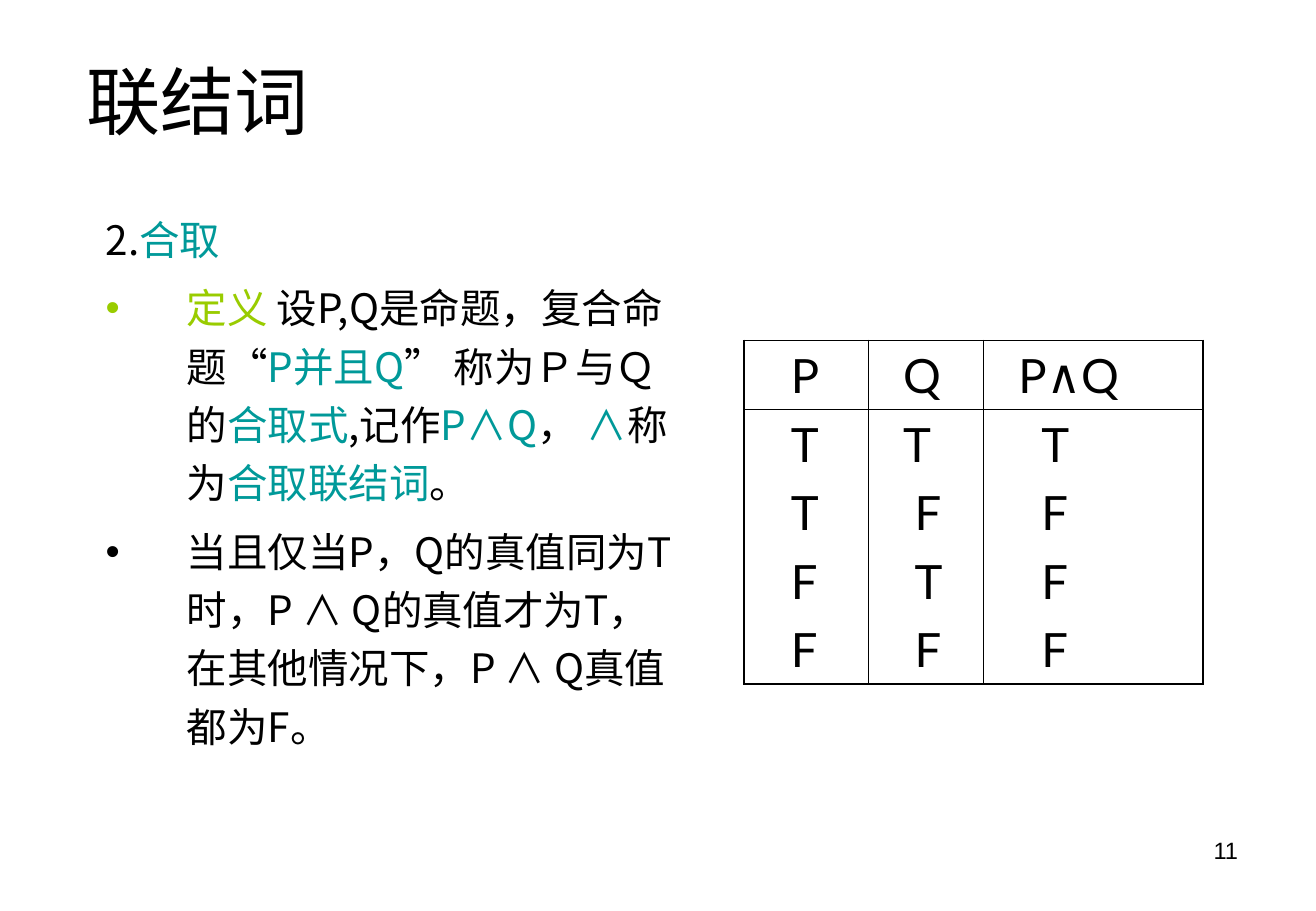
from dataclasses import dataclass

from lxml import etree
from pptx import Presentation
from pptx.dml.color import RGBColor
from pptx.enum.text import MSO_ANCHOR, PP_ALIGN
from pptx.oxml.ns import qn
from pptx.util import Cm, Pt

LEFT = PP_ALIGN.LEFT
RIGHT = PP_ALIGN.RIGHT
TOP = MSO_ANCHOR.TOP
MIDDLE = MSO_ANCHOR.MIDDLE


@dataclass(frozen=True)
class Theme:
    ink: str = "000000"
    term: str = "009999"
    keyword: str = "99CC00"
    latin: str = "Arial"
    chinese: str = "Noto Sans CJK SC"
    table_font: str = "Lato"
    title_size: int = 44
    body_size: int = 24
    table_size: int = 28
    number_size: int = 14
    outer_line: float = 1.08
    inner_line: float = 0.45


THEME = Theme()
INK, TERM, KEYWORD = THEME.ink, THEME.term, THEME.keyword

BODY = [
    (None, [("2.", INK), ("合取", TERM)]),
    (KEYWORD, [
        ("定义", KEYWORD), (" 设P,Q是命题，复合命题", INK), ("“", INK),
        ("P并且Q", TERM), ("” ", INK), ("称为Ｐ与Ｑ的", INK),
        ("合取式", TERM), (",记作", INK), ("P∧Q", TERM), ("， ", INK),
        ("∧", TERM), ("称为", INK), ("合取联结词", TERM), ("。", INK),
    ]),
    (INK, [("当且仅当P，Q的真值同为T时，P ∧ Q的真值才为T，"
            "在其他情况下，P ∧ Q真值都为F。", INK)]),
]

TRUTH_COLUMNS = [
    (2.59, ("P", 3), [("T", 3), ("T", 3), ("F", 3), ("F", 3)]),
    (2.41, ("Q", 2), [("T", 2), ("F", 3), ("T", 3), ("F", 3)]),
    (4.6, ("P∧Q", 2), [("T", 4), ("F", 4), ("F", 4), ("F", 4)]),
]
ROW_HEIGHTS = (1.44, 5.74)
INDENT_STEP = 0.24


def set_font(para, name, size, color=INK):
    font = para.font
    font.name = name
    font.size = Pt(size)
    font.color.rgb = RGBColor.from_string(color)
    properties = para._p.pPr.find(qn("a:defRPr"))
    latin = properties.find(qn("a:latin"))
    east_asian = etree.Element(qn("a:ea"), typeface=THEME.chinese)
    latin.addnext(east_asian)


def add_text_frame(page, box, anchor=TOP):
    frame = page.shapes.add_textbox(*(Cm(length) for length in box)).text_frame
    frame.word_wrap = True
    frame.vertical_anchor = anchor
    return frame


def next_para(frame, index, gap):
    if index == 0:
        return frame.paragraphs[0]
    para = frame.add_paragraph()
    para.space_before = Pt(gap)
    return para


def add_line(page, box, text, name, size, align=LEFT, anchor=TOP):
    para = add_text_frame(page, box, anchor).paragraphs[0]
    para.alignment = align
    set_font(para, name, size)
    para.add_run().text = text


def add_bullet(para, color):
    properties = para._p.get_or_add_pPr()
    hanging = Cm(1.7)
    properties.set("marL", str(hanging))
    properties.set("indent", str(-hanging))
    if color is None:
        etree.SubElement(properties, qn("a:buNone"))
        return
    bullet_color = etree.SubElement(properties, qn("a:buClr"))
    etree.SubElement(bullet_color, qn("a:srgbClr"), val=color)
    etree.SubElement(properties, qn("a:buFont"), typeface=THEME.latin)
    etree.SubElement(properties, qn("a:buChar"), char="•")


def add_body(page, box):
    frame = add_text_frame(page, box)
    for index, (bullet, spans) in enumerate(BODY):
        para = next_para(frame, index, 6)
        para.line_spacing = 1.2
        add_bullet(para, bullet)
        set_font(para, THEME.chinese, THEME.body_size)
        for text, color in spans:
            span = para.add_run()
            span.text = text
            span.font.color.rgb = RGBColor.from_string(color)
            if text.strip() in ("“", "”"):
                span.font.name = THEME.latin


def set_borders(cell, outer_sides):
    properties = cell._tc.get_or_add_tcPr()
    for index, side in enumerate(("lnL", "lnR", "lnT", "lnB")):
        width = THEME.outer_line if side in outer_sides else THEME.inner_line
        line = etree.Element(qn("a:" + side), w=str(Pt(width)))
        fill = etree.SubElement(line, qn("a:solidFill"))
        etree.SubElement(fill, qn("a:srgbClr"), val=INK)
        properties.insert(index, line)


def fill_cell(cell, entries, outer_sides):
    cell.fill.background()
    set_borders(cell, outer_sides)
    for index, (text, steps) in enumerate(entries):
        para = next_para(cell.text_frame, index, 7)
        para._p.get_or_add_pPr().set("marL", str(Cm(steps * INDENT_STEP)))
        set_font(para, THEME.table_font, THEME.table_size)
        para.add_run().text = text


def add_truth_table(page, left, top):
    width = sum(column[0] for column in TRUTH_COLUMNS)
    frame = page.shapes.add_table(
        2, len(TRUTH_COLUMNS), Cm(left), Cm(top), Cm(width), Cm(sum(ROW_HEIGHTS)))
    table = frame.table
    table.first_row = False
    table.horz_banding = False
    for row, height in zip(table.rows, ROW_HEIGHTS):
        row.height = Cm(height)
    last = len(TRUTH_COLUMNS) - 1
    for index, (column_width, heading, values) in enumerate(TRUTH_COLUMNS):
        table.columns[index].width = Cm(column_width)
        sides = {0: ["lnL"], last: ["lnR"]}.get(index, [])
        fill_cell(table.cell(0, index), [heading], sides + ["lnT"])
        fill_cell(table.cell(1, index), values, sides + ["lnB"])


def add_conjunction_page(deck):
    page = deck.slides.add_slide(deck.slide_layouts[6])
    add_line(page, (21.37, 17.35, 4.78, 1.32), "11", THEME.latin,
             THEME.number_size, align=RIGHT)
    add_line(page, (1.56, 1.12, 21.18, 1.93), "联结词", THEME.latin,
             THEME.title_size, anchor=MIDDLE)
    add_body(page, (1.96, 4.17, 12.67, 12.04))
    add_truth_table(page, 15.57, 7.12)


def main():
    deck = Presentation()
    deck.slide_width = Cm(27.53)
    deck.slide_height = Cm(19.05)
    add_conjunction_page(deck)
    deck.save("out.pptx")


if __name__ == "__main__":
    main()
